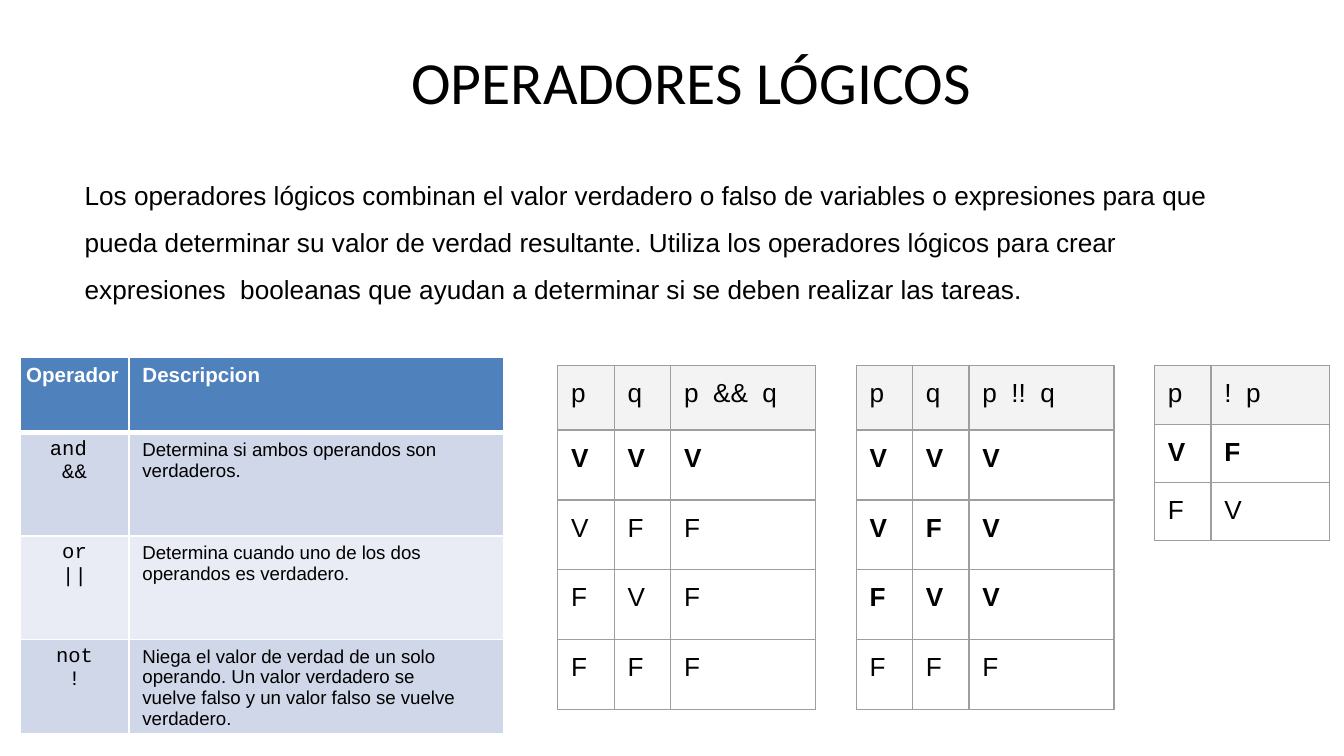
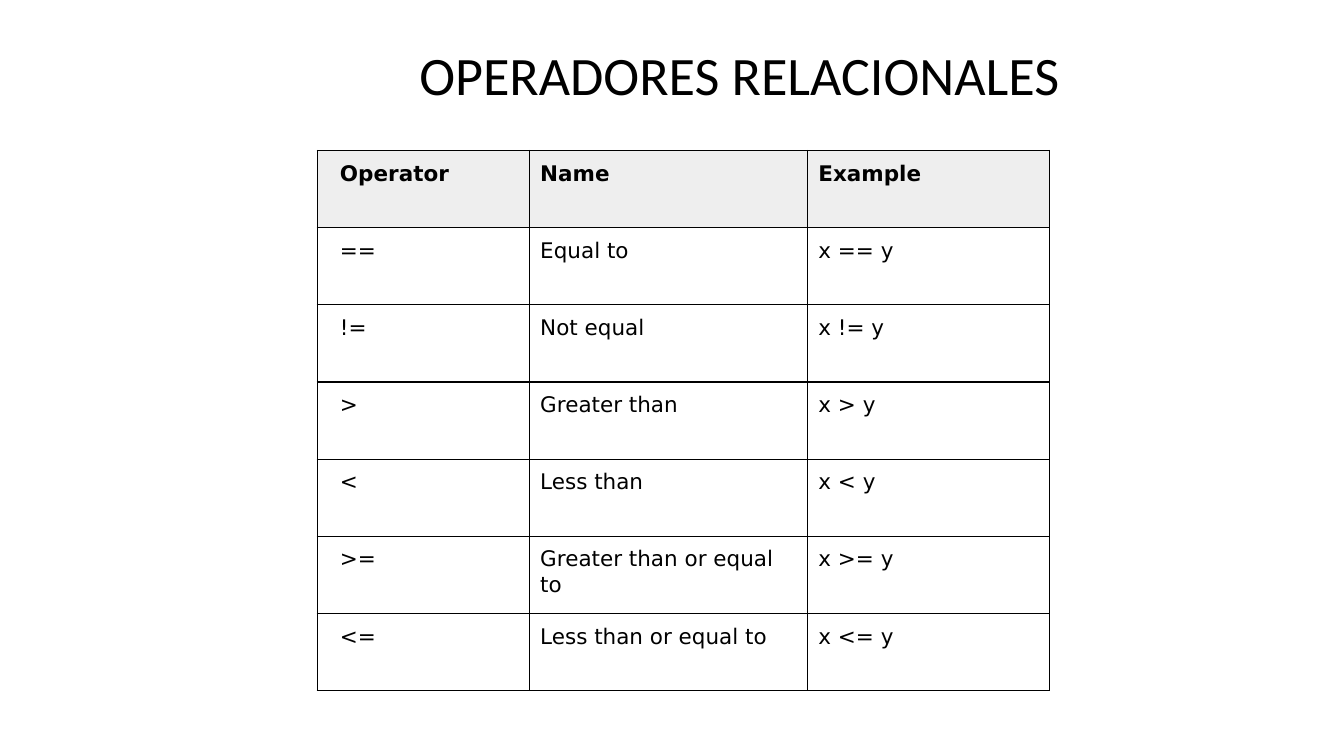
from lxml.etree import SubElement as Sub
from pptx import Presentation
from pptx.dml.color import RGBColor as RGB
from pptx.enum.text import MSO_ANCHOR as ANCHOR, MSO_AUTO_SIZE as AUTO, PP_ALIGN as ALIGN
from pptx.oxml.ns import qn
from pptx.util import Emu, Pt

SCALE = 9144
WIDE = 1000
HIGH = WIDE * 9 / 16
BLACK, WHITE = "000000", "FFFFFF"
BLUE, PALE, MIST = "4F81BC", "D0D7E8", "E9ECF4"
GREY, LIGHT, SILVER = "9E9E9E", "F3F3F3", "EEEEEE"

LOGIC = "OPERADORES LÓGICOS"
INTRO = (
    "Los operadores lógicos combinan el valor verdadero o falso de variables o "
    "expresiones para que  pueda determinar su valor de verdad resultante. Utiliza "
    "los operadores lógicos para crear expresiones  booleanas que ayudan a "
    "determinar si se deben realizar las tareas."
)
USES = [
    ("Operador", "Descripcion"),
    ("and \n&&", "Determina si ambos operandos son verdaderos."),
    ("or\n||", "Determina cuando uno de los dos operandos es verdadero."),
    ("not\n!", "Niega el valor de verdad de un solo operando. Un valor verdadero se "
               "vuelve falso y un valor falso se vuelve  verdadero."),
]
PAIR = {"cols": (42, 42, 108), "tall": (48, 52, 52, 52, 52)}
TRUTH = [
    {"left": 637, "rows": [("p", "q", "p  !!  q"), "VVV", "VFV", "FVV", "FFF"],
     "bold": (1, 2, 3), **PAIR},
    {"left": 415, "rows": [("p", "q", "p  &&  q"), "VVV", "VFF", "FVF", "FFF"],
     "bold": (1,), **PAIR},
    {"left": 859, "rows": [("p", "!  p"), "VF", "FV"],
     "bold": (1,), "cols": (42, 88), "tall": (44, 43, 43)},
]
COMPARE = "OPERADORES RELACIONALES"
SIGNS = [
    ("==", "Equal to"),
    ("!=", "Not equal"),
    (">", "Greater than"),
    ("<", "Less than"),
    (">=", "Greater than or equal to"),
    ("<=", "Less than or equal to"),
]


def px(size):
    return Emu(round(size * SCALE))


def style(frame, size, face, tone=BLACK, bold=False, **para):
    for part in frame.paragraphs:
        for key, val in para.items():
            setattr(part, key, val)
        for run in part.runs:
            run.font.color.rgb = RGB.from_string(tone)
            for key, val in {"size": Pt(size), "name": face, "bold": bold}.items():
                setattr(run.font, key, val)


def inset(item, left, top, right, low):
    for side, val in zip(("left", "top", "right", "bottom"), (left, top, right, low)):
        setattr(item, "margin_" + side, px(val))


def fill_in(holder, text, box, pads, size, face, lead=1.0):
    for key, val in zip(("left", "top", "width", "height"), box):
        setattr(holder, key, px(val))
    frame = holder.text_frame
    frame.text = text
    inset(frame, *pads)
    for key, val in {"word_wrap": True, "auto_size": AUTO.NONE,
                     "vertical_anchor": ANCHOR.TOP}.items():
        setattr(frame, key, val)
    style(frame, size, face, alignment=ALIGN.LEFT, line_spacing=lead,
          space_before=Pt(0))
    for part in frame.paragraphs:
        props = part._p.get_or_add_pPr()
        props.set("marL", "0")
        props.set("indent", "0")
        Sub(props, qn("a:buNone"))


def edge(cell, tone, **wide):
    props = cell._tc.get_or_add_tcPr()
    for spot, side in enumerate("LRTB"):
        line = Sub(props, qn("a:ln" + side), w=str(Pt(wide[side])))
        Sub(Sub(line, qn("a:solidFill")), qn("a:srgbClr"), val=tone)
        props.insert(spot, line)


def paint(cell, tone):
    if tone:
        cell.fill.solid()
        cell.fill.fore_color.rgb = RGB.from_string(tone)
    else:
        cell.fill.background()


def grid(slide, left, top, cols, tall, rows, look):
    table = slide.shapes.add_table(
        len(rows), len(cols), px(left), px(top), px(sum(cols)), px(sum(tall))).table
    table.first_row = table.horz_banding = False
    for col, wide in zip(table.columns, cols):
        col.width = px(wide)
    for row, high in zip(table.rows, tall):
        row.height = px(high)
    for r, row in enumerate(rows):
        for c, text in enumerate(row):
            cell = table.cell(r, c)
            cell.text = text
            look(cell, r, c)


def use_look(cell, r, c):
    right = 28 if c else 0 if r else 3
    inset(cell, 10 if c else 0, 4 if r and not c else 5, right, 0)
    paint(cell, (BLUE, PALE, MIST, PALE)[r])
    edge(cell, WHITE, L=1, R=1, T=3 if r == 1 else 1, B=1 if r else 3)
    style(cell.text_frame, 10 if r and c else 11,
          "Courier New" if r and not c else "Arial", BLACK if r else WHITE,
          not r, alignment=ALIGN.LEFT if c else ALIGN.CENTER)


def truth_look(bold):
    def look(cell, r, c):
        inset(cell, 10, 10, 10, 10)
        paint(cell, None if r else LIGHT)
        edge(cell, GREY, **dict.fromkeys("LRTB", 0.75))
        style(cell.text_frame, 14, "Arial", bold=r in bold)
    return look


def sign_look(cell, r, c):
    inset(cell, 8 if c else 17, 8, 8, 8)
    paint(cell, WHITE if r else SILVER)
    edge(cell, BLACK, **dict.fromkeys("LRTB", 0.75))
    style(cell.text_frame, 11.5, "DejaVu Sans", bold=not r, space_after=Pt(15))


deck = Presentation()
deck.slide_width, deck.slide_height = px(WIDE), px(HIGH)

first = deck.slides.add_slide(deck.slide_layouts[1])
fill_in(first.shapes.title, LOGIC, (284, 31, 495, 55), (22, 2, 0, 0), 32, "Calibri")
fill_in(first.placeholders[1], INTRO, (62, 120, 877, 96), (1, 2, 0, 0), 14, "Arial", 1.5)
grid(first, 15, 266, (81, 279), (56, 77, 77, 70), USES, use_look)
for item in TRUTH:
    grid(first, item["left"], 272, item["cols"], item["tall"], item["rows"],
         truth_look(item["bold"]))

second = deck.slides.add_slide(deck.slide_layouts[5])
fill_in(second.shapes.title, COMPARE, (301, 21, 538, 69), (11, 10, 10, 10), 29, "Calibri")
lines = [("Operator", "Name", "Example")]
lines += [(sign, name, f"x {sign} y") for sign, name in SIGNS]
grid(second, 236, 112, (158, 207, 180), [402 / len(lines)] * len(lines), lines, sign_look)

deck.save("out.pptx")
